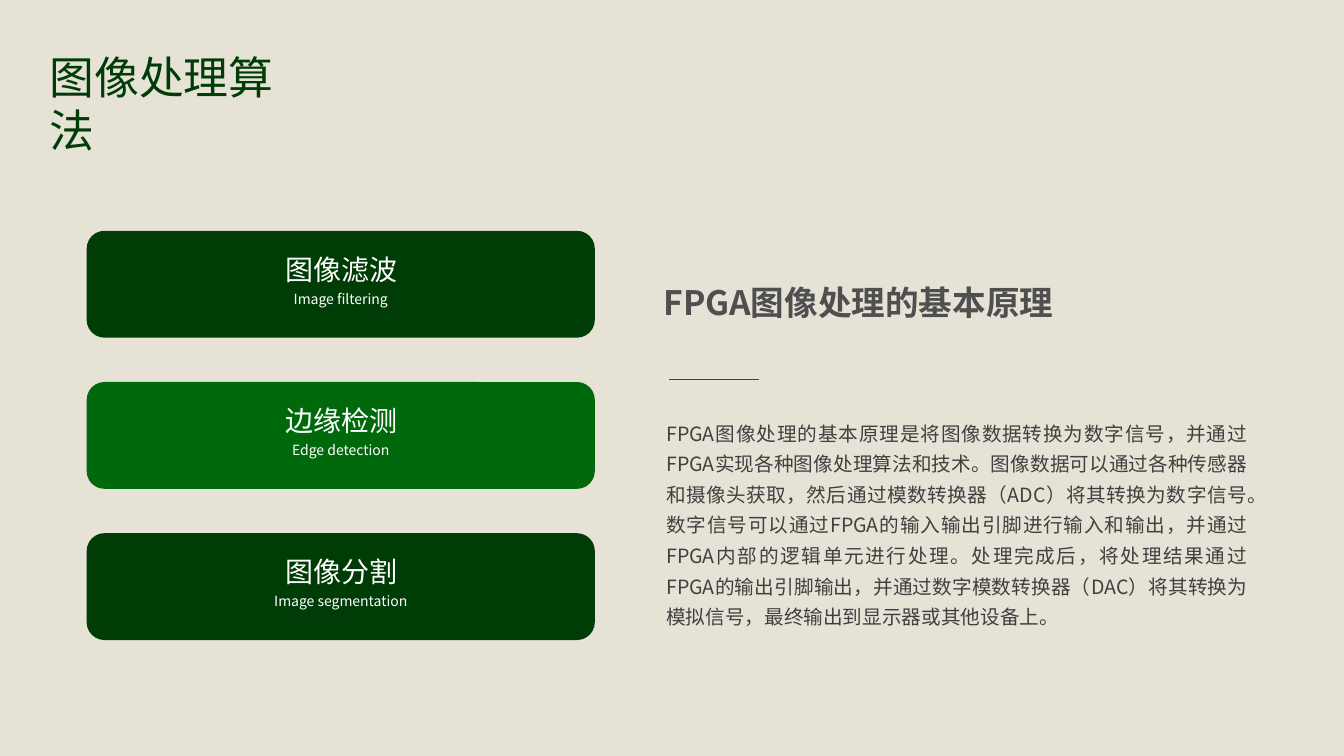
from lxml import etree
from pptx import Presentation
from pptx.dml.color import RGBColor
from pptx.enum import shapes, text
from pptx.oxml import ns
from pptx.util import Inches, Pt

COLORS = {
    "background": "E6E2D6",
    "dark green": "003C06",
    "green": "00690B",
    "white": "FFFFFF",
    "heading": "4F4F4F",
    "body": "404040",
}
FONT = "Noto Sans CJK JP"
HEADING_FONT = "Noto Sans CJK SC"


def color(name):
    return RGBColor.from_string(COLORS[name])


def add_text(place, wording, size, color_name, align, font=FONT, bold=False,
             insets=(0.07, 0.04), anchor=text.MSO_ANCHOR.MIDDLE, spacing=None):
    box = slide.shapes.add_textbox(*map(Inches, place))
    frame = box.text_frame
    frame.word_wrap = True
    frame.vertical_anchor = anchor
    frame.margin_left = frame.margin_right = Inches(insets[0])
    frame.margin_top = frame.margin_bottom = Inches(insets[1])
    paragraph = frame.paragraphs[0]
    paragraph.alignment = align
    if spacing:
        paragraph.line_spacing = Pt(spacing)
    run = paragraph.add_run()
    run.text = wording
    run.font.size = Pt(size)
    run.font.bold = bold
    run.font.color.rgb = color(color_name)
    run.font.name = font
    east_asian = etree.SubElement(run.font._element, ns.qn("a:ea"))
    east_asian.set("typeface", font)


presentation = Presentation()
presentation.slide_width = Inches(13.33)
presentation.slide_height = Inches(7.5)
slide = presentation.slides.add_slide(presentation.slide_layouts[6])
slide.background.fill.solid()
slide.background.fill.fore_color.rgb = color("background")

# Title
add_text((0.49, 0.49, 2.66, 0.54), "图像处理算法", 32, "dark green",
         text.PP_ALIGN.LEFT, insets=(0, 0), anchor=text.MSO_ANCHOR.TOP,
         spacing=38.4)

# Algorithm cards
algorithms = [
    ("图像滤波", "Image filtering", "dark green"),
    ("边缘检测", "Edge detection", "green"),
    ("图像分割", "Image segmentation", "dark green"),
]
for index, (chinese, english, fill) in enumerate(algorithms):
    top = 2.29 + 1.5 * index
    card = slide.shapes.add_shape(
        shapes.MSO_SHAPE.ROUNDED_RECTANGLE,
        Inches(0.86), Inches(top), Inches(5.04), Inches(1.06))
    card.shadow.inherit = False
    card.fill.solid()
    card.fill.fore_color.rgb = color(fill)
    card.line.fill.background()
    add_text((2.08, top + 0.22, 2.61, 0.32), chinese, 20, "white",
             text.PP_ALIGN.CENTER)
    add_text((1.85, top + 0.51, 3.06, 0.33), english, 10, "white",
             text.PP_ALIGN.CENTER)

# Principle: heading, rule and explanation
add_text((6.51, 2.55, 5.96, 0.9), "FPGA图像处理的基本原理", 24, "heading",
         text.PP_ALIGN.JUSTIFY, font=HEADING_FONT, bold=True)

rule = slide.shapes.add_connector(
    shapes.MSO_CONNECTOR.STRAIGHT,
    Inches(6.64), Inches(3.76), Inches(7.53), Inches(3.76))
rule.line.color.rgb = color("body")
rule.line.width = Pt(0.5)
etree.SubElement(rule._element.spPr, ns.qn("a:effectLst"))

explanation = (
    "FPGA图像处理的基本原理是将图像数据转换为数字信号，并通过FPGA实现各种图像处理算法和技术。"
    "图像数据可以通过各种传感器和摄像头获取，然后通过模数转换器（ADC）将其转换为数字信号。"
    "数字信号可以通过FPGA的输入输出引脚进行输入和输出，并通过FPGA内部的逻辑单元进行处理。"
    "处理完成后，将处理结果通过FPGA的输出引脚输出，并通过数字模数转换器（DAC）将其转换为模拟信号，"
    "最终输出到显示器或其他设备上。"
)
add_text((6.51, 4, 5.96, 2.35), explanation, 14, "body",
         text.PP_ALIGN.JUSTIFY, insets=(0.1, 0.05), spacing=21.8)

presentation.save("out.pptx")
